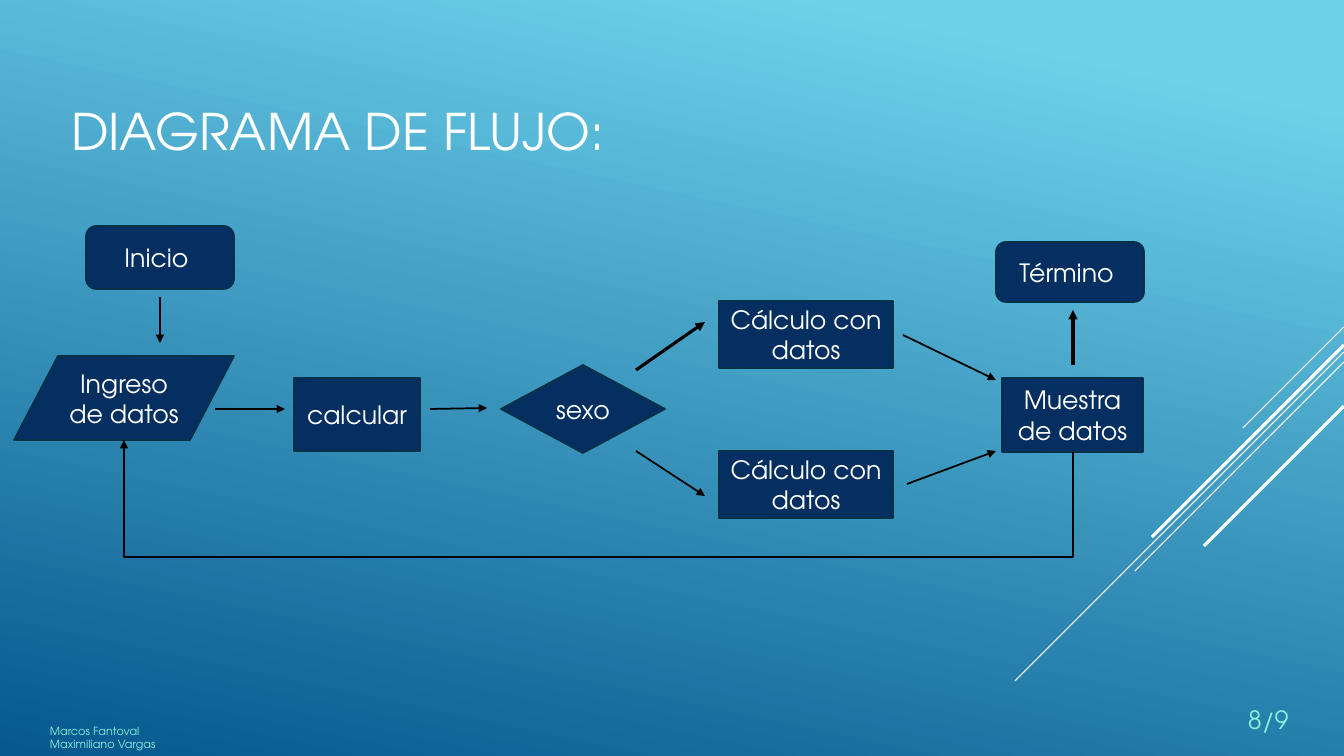
import pptx
import pptx.util
import pptx.dml.color
import pptx.enum.shapes
import pptx.enum.text
import pptx.oxml
import pptx.oxml.ns

SHAPE = pptx.enum.shapes.MSO_SHAPE
CONNECTOR = pptx.enum.shapes.MSO_CONNECTOR
ALIGN = pptx.enum.text.PP_ALIGN
ANCHOR = pptx.enum.text.MSO_ANCHOR

FONT = "TeX Gyre Adventor"
COLORS = {
    "sky": "6ED2EB", "deep": "06588E", "white": "FFFFFF", "black": "000000",
    "box": "052F61", "outline": "043148", "footer": "87EFDA",
}
THIN, MEDIUM, THICK = 0.75, 1.25, 2.25

TITLE = ("DIAGRAMA DE FLUJO:", (61, 47, 940, 166))

# text, shape, (left, top, width, height)
STEPS = [
    ("Inicio ", SHAPE.ROUNDED_RECTANGLE, (86, 226, 148, 63)),
    ("Ingreso de datos", SHAPE.FLOWCHART_DATA, (14, 356, 220, 84)),
    ("calcular", SHAPE.RECTANGLE, (294, 378, 126, 73)),
    ("sexo", SHAPE.FLOWCHART_DECISION, (501, 365, 164, 88)),
    ("Cálculo con datos", SHAPE.RECTANGLE, (719, 301, 174, 67)),
    ("Cálculo con datos", SHAPE.RECTANGLE, (719, 451, 174, 67)),
    ("Muestra de datos", SHAPE.RECTANGLE, (1002, 378, 141, 74)),
    ("Término ", SHAPE.ROUNDED_RECTANGLE, (996, 242, 148, 60)),
]

# from, to, width in points
ARROWS = [
    ((160, 297), (160, 343), MEDIUM),
    ((215, 409), (285, 409), MEDIUM),
    ((430, 409), (487, 408), MEDIUM),
    ((636, 370), (705, 322), THICK),
    ((636, 451), (705, 496), MEDIUM),
    ((903, 335), (996, 380), MEDIUM),
    ((907, 484), (996, 451), MEDIUM),
    ((1073, 365), (1073, 310), THICK),
]
# from, to, y of the horizontal run
RETURN_ARROW = ((1073, 452), (124, 440), 557)

# Diagonals fall at 45 degrees from the right edge: top, drop, width in points
DIAGONALS = [
    (327, 101, THIN), (352, 329, THIN), (362, 209, THIN),
    (345, 192, THICK), (406, 140, THICK),
]

# paragraphs, size, box
NOTES = [
    (["Marcos Fantoval", "Maximiliano Vargas"], 8, (40, 719, 346, 50)),
    (["8/9"], 18, (1238, 699, 67, 40)),
]

WIDTH, HEIGHT = 1344, 756
PX_PER_INCH = 100.8


def px(*lengths):
    return [pptx.util.Inches(n / PX_PER_INCH) for n in lengths]


def rgb(name):
    return pptx.dml.color.RGBColor.from_string(COLORS[name])


def write(tf, lines, size, color, align, anchor):
    tf.word_wrap = True
    tf.auto_size = pptx.enum.text.MSO_AUTO_SIZE.NONE
    tf.vertical_anchor = anchor
    tf.text = "\n".join(lines)
    for p in tf.paragraphs:
        p.alignment = align
        for r in p.runs:
            r.font.name = FONT
            r.font.size = pptx.util.Pt(size)
            r.font.color.rgb = rgb(color)


def add_line(slide, start, end, color, width, arrow=False, kind=CONNECTOR.STRAIGHT):
    line = slide.shapes.add_connector(kind, *px(*start, *end))
    line.line.color.rgb = rgb(color)
    line.line.width = pptx.util.Pt(width)
    if arrow:
        head = pptx.oxml.parse_xml(
            f'<a:tailEnd {pptx.oxml.ns.nsdecls("a")} type="triangle"/>')
        line.line._get_or_add_ln().append(head)
    line._element.spPr.append(
        pptx.oxml.parse_xml(f'<a:effectLst {pptx.oxml.ns.nsdecls("a")}/>'))
    return line


def add_return_arrow(slide, start, end, run_y):
    """Elbow that leaves downwards, runs left and comes up: a quarter-turned bentConnector3."""
    line = add_line(slide, start, end, "black", MEDIUM, True, CONNECTOR.ELBOW)
    span, rise = start[0] - end[0], start[1] - end[1]
    mid_x, mid_y = (start[0] + end[0]) / 2, (start[1] + end[1]) / 2
    line.left, line.top, line.width, line.height = px(
        mid_x - rise / 2, mid_y - span / 2, rise, span)
    xfrm = line._element.spPr.find(pptx.oxml.ns.qn("a:xfrm"))
    xfrm.attrib.pop("flipV", None)
    xfrm.set("rot", str(90 * 60000))
    xfrm.set("flipH", "1")
    bend = round((start[1] - run_y) / rise * 100000)
    guides = line._element.spPr.find(pptx.oxml.ns.qn("a:prstGeom")).get_or_add_avLst()
    guides.append(pptx.oxml.parse_xml(
        f'<a:gd {pptx.oxml.ns.nsdecls("a")} name="adj1" fmla="val {bend}"/>'))


def add_step(slide, text, kind, box):
    sp = slide.shapes.add_shape(kind, *px(*box))
    sp.shadow.inherit = False
    sp.fill.solid()
    sp.fill.fore_color.rgb = rgb("box")
    sp.line.color.rgb = rgb("outline")
    sp.line.width = pptx.util.Pt(MEDIUM)
    write(sp.text_frame, [text], 18, "white", ALIGN.CENTER, ANCHOR.MIDDLE)


def paint_background(slide):
    fill = slide.background.fill
    fill.gradient()
    fill.gradient_angle = 360 - 102
    for stop, position, color in zip(fill.gradient_stops, (0.1, 1), ("sky", "deep")):
        stop.position = position
        stop.color.rgb = rgb(color)


def main():
    prs = pptx.Presentation()
    prs.slide_width, prs.slide_height = px(WIDTH, HEIGHT)
    s = prs.slides.add_slide(prs.slide_layouts[5])
    paint_background(s)

    for top, drop, width in DIAGONALS:
        add_line(s, (WIDTH, top), (WIDTH - drop, top + drop), "white", width)

    text, box = TITLE
    title = s.shapes.title
    title.left, title.top, title.width, title.height = px(*box)
    write(title.text_frame, [text], 36, "white", ALIGN.LEFT, ANCHOR.MIDDLE)

    for step in STEPS:
        add_step(s, *step)
    for start, end, width in ARROWS:
        add_line(s, start, end, "black", width, arrow=True)
    add_return_arrow(s, *RETURN_ARROW)

    for lines, size, box in NOTES:
        tf = s.shapes.add_textbox(*px(*box)).text_frame
        write(tf, lines, size, "footer", ALIGN.LEFT, ANCHOR.TOP)

    prs.save("out.pptx")


if __name__ == "__main__":
    main()
